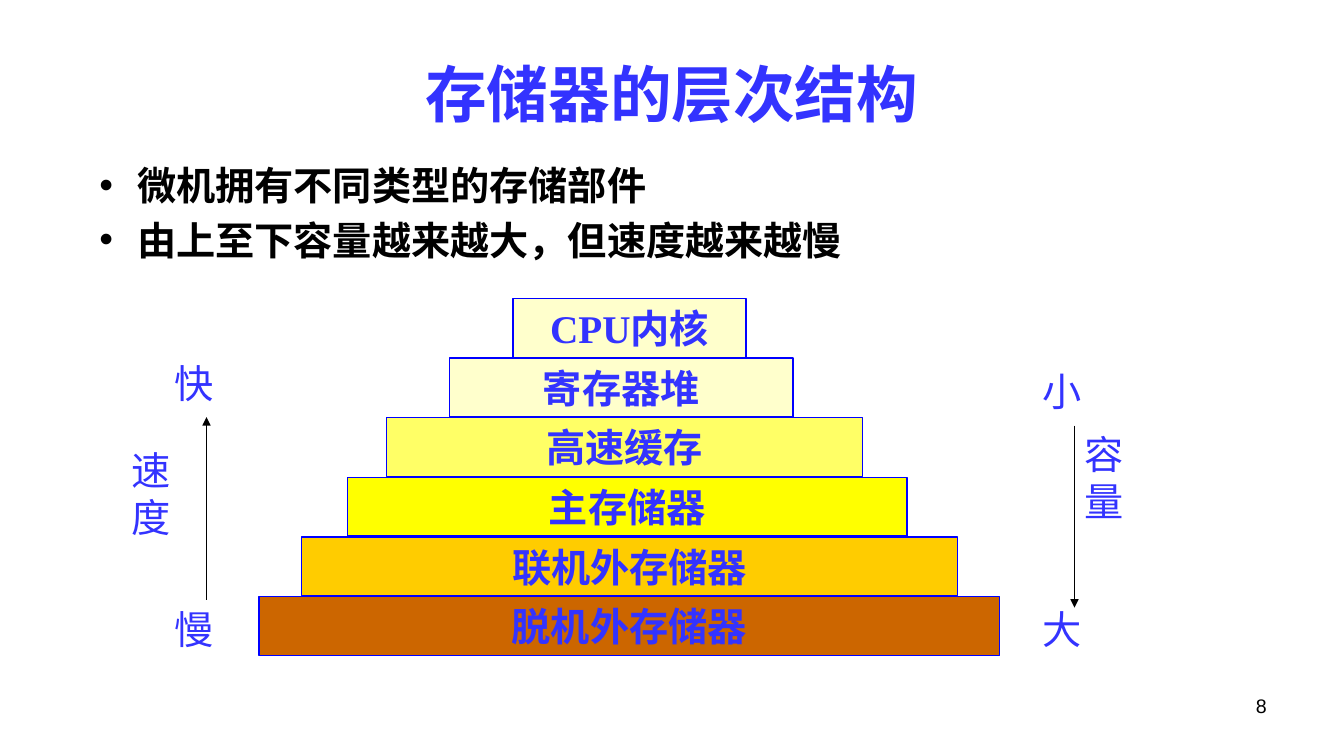
from lxml.etree import SubElement
from pptx import Presentation
from pptx.dml.color import RGBColor
from pptx.enum.shapes import MSO_CONNECTOR as Connector, MSO_SHAPE as Shape
from pptx.enum.text import MSO_ANCHOR as Anchor, PP_ALIGN as Align
from pptx.oxml.ns import qn
from pptx.util import Pt

BLUE, BLACK = "3333FF", "000000"
TIERS = [
    ("CPU内核", 366.5, 166.5, "FFFFCC"),
    ("寄存器堆", 321, 245.5, "FFFFCC"),
    ("高速缓存", 276, 340, "FFFF66"),
    ("主存储器", 248, 400, "FFFF00"),
    ("联机外存储器", 215.5, 468.5, "FFCC00"),
    ("脱机外存储器", 185, 529, "CC6600"),
]


def color(hex_text):
    return RGBColor.from_string(hex_text)


def write(shape, lines, size=28, font="Arial", fill=BLUE, bold=False,
          align=Align.LEFT, anchor=Anchor.TOP):
    frame = shape.text_frame
    frame.word_wrap = True
    frame.vertical_anchor = anchor
    frame.text = "\n".join(lines)
    for paragraph in frame.paragraphs:
        paragraph.alignment = align
        for run in paragraph.runs:
            run.font.size = Pt(size)
            run.font.name = font
            run.font.bold = bold
            run.font.color.rgb = color(fill)
    return frame


def add_text(slide, left, top, width, height, lines, **style):
    box = slide.shapes.add_textbox(Pt(left), Pt(top), Pt(width), Pt(height))
    return write(box, lines, **style)


def add_bullets(slide, left, top, width, height, lines):
    frame = add_text(slide, left, top, width, height, lines, fill=BLACK, bold=True)
    for paragraph in frame.paragraphs:
        paragraph.space_before = Pt(5.6)
        properties = paragraph._p.get_or_add_pPr()
        properties.set("marL", str(Pt(27)))
        properties.set("indent", str(-Pt(27)))
        SubElement(properties, qn("a:buFont"), typeface="Arial")
        SubElement(properties, qn("a:buChar"), char="•")


def add_pyramid(slide, top, pitch, height):
    for index, (label, left, width, fill) in enumerate(TIERS):
        tier = slide.shapes.add_shape(Shape.RECTANGLE, Pt(left), Pt(top + index * pitch),
                                      Pt(width), Pt(height))
        tier.shadow.inherit = False
        tier.fill.solid()
        tier.fill.fore_color.rgb = color(fill)
        tier.line.color.rgb = color("0000FF")
        tier.line.width = Pt(1)
        frame = write(tier, [label], font="Times New Roman", bold=True,
                      align=Align.CENTER, anchor=Anchor.MIDDLE)
        frame.margin_left = frame.margin_right = Pt(1.5)


def add_arrow(slide, x, start, end):
    arrow = slide.shapes.add_connector(Connector.STRAIGHT, Pt(x), Pt(start), Pt(x), Pt(end))
    arrow.line.color.rgb = color(BLACK)
    arrow.line.width = Pt(1)
    SubElement(arrow.line._get_or_add_ln(), qn("a:tailEnd"), type="triangle")
    SubElement(arrow._element.spPr, qn("a:effectLst"))


def add_scale(slide, x, upper, lower, start, end, name, name_box):
    for label, top in (upper, lower):
        add_text(slide, x - 30, top, 60, 41, [label])
    add_arrow(slide, x, start, end)
    left, top, width = name_box
    add_text(slide, left, top, width, 74, [name])


def main():
    presentation = Presentation()
    presentation.slide_width, presentation.slide_height = Pt(960), Pt(540)
    slide = presentation.slides.add_slide(presentation.slide_layouts[6])
    add_text(slide, 48, 21.5, 864, 90, ["存储器的层次结构"], size=44, bold=True,
             align=Align.CENTER, anchor=Anchor.MIDDLE)
    add_bullets(slide, 64, 111.5, 817, 374,
                ["微机拥有不同类型的存储部件", "由上至下容量越来越大，但速度越来越慢"])
    add_pyramid(slide, 213.2, 42.6, 42)
    add_scale(slide, 147.5, ("快", 253), ("慢", 429), 428.5, 298, "速度", (87, 315.5, 60))
    add_scale(slide, 767.5, ("小", 258.5), ("大", 428.5), 304, 434, "容量", (767.5, 304, 45))
    add_text(slide, 688, 492, 224, 37.5, ["8"], size=14, fill=BLACK, align=Align.RIGHT)
    presentation.save("out.pptx")


if __name__ == "__main__":
    main()
